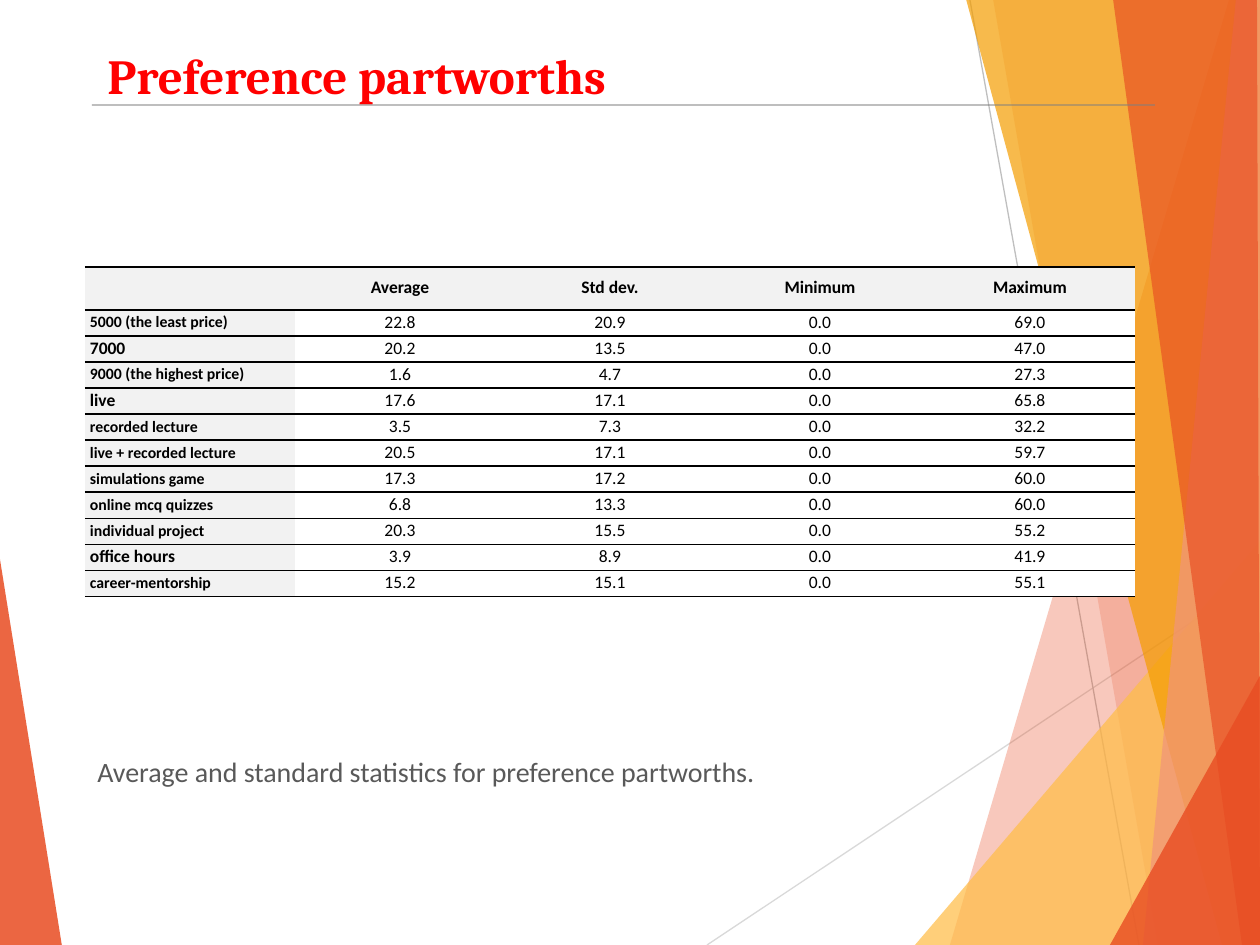
"""Build the preference partworths slide."""
from dataclasses import dataclass

from lxml.etree import SubElement
from pptx import Presentation
from pptx.dml.color import RGBColor as Rgb
from pptx.enum.shapes import MSO_CONNECTOR as Connector
from pptx.enum.text import MSO_ANCHOR as Anchor, PP_ALIGN as Align
from pptx.oxml.ns import qn
from pptx.util import Pt

EMU_PER_PX = 914400 / 126
NO_TABLE_STYLE = "{2D5ABB26-0587-4C30-8999-92F81FD0307C}"


@dataclass(frozen=True)
class Theme:
    """Colours, fonts and type sizes of the slide."""
    red: str = "E84C22"
    gold: str = "FFBD47"
    amber: str = "F49D00"
    salmon: str = "F1947A"
    title: str = "FF0000"
    caption: str = "595959"
    ink: str = "000000"
    header: str = "F2F2F2"
    paper: str = "FFFFFF"
    pale_line: str = "D9D9D9"
    line: str = "BFBFBF"
    rule: str = "7F7F7F"
    heading_font: str = "Cambria"
    body_font: str = "Calibri"
    title_size: int = 28
    caption_size: int = 16
    cell_size: int = 10
    label_size: int = 9


THEME = Theme()

FACETS = [
    (THEME.red, 30, [(1229, 0), (950, 945), (1262, 946), (1261, 0)]),
    (THEME.red, 20, [(993, -1), (1158, 945), (1261, 945), (1261, -1)]),
    (THEME.gold, 72, [(915, 945), (1260, 541), (1261, 945)]),
    (THEME.amber, 70, [(966, -1), (1222, 945), (1261, 945), (1261, -1)]),
    (THEME.salmon, 70, [(1236, -1), (1143, 945), (1261, 945), (1260, -1)]),
    (THEME.red, 65, [(1113, -1), (1242, 945), (1260, 945), (1257, -1)]),
    (THEME.red, 80, [(1110, 945), (1261, 674), (1261, 945)]),
]
LEFT_WEDGE = (THEME.red, 85, [(-1, 553), (62, 946), (-1, 945)])

HEADERS = ["", "Average", "Std dev.", "Minimum", "Maximum"]
PARTWORTHS = [
    ("5000 (the least price)", "22.8", "20.9", "0.0", "69.0"),
    ("7000", "20.2", "13.5", "0.0", "47.0"),
    ("9000 (the highest price)", "1.6", "4.7", "0.0", "27.3"),
    ("live", "17.6", "17.1", "0.0", "65.8"),
    ("recorded lecture", "3.5", "7.3", "0.0", "32.2"),
    ("live + recorded lecture", "20.5", "17.1", "0.0", "59.7"),
    ("simulations game", "17.3", "17.2", "0.0", "60.0"),
    ("online mcq quizzes", "6.8", "13.3", "0.0", "60.0"),
    ("individual project", "20.3", "15.5", "0.0", "55.2"),
    ("office hours", "3.9", "8.9", "0.0", "41.9"),
    ("career-mentorship", "15.2", "15.1", "0.0", "55.1"),
]
LARGE_LABELS = {"7000", "live", "office hours"}


def px(length):
    """Turn pixels into EMU."""
    return round(length * EMU_PER_PX)


def apply(target, values):
    """Set each named attribute on the target."""
    for name, value in values.items():
        setattr(target, name, value)


def set_alpha(fill, percent):
    """Make a solid fill partly transparent."""
    colour = fill._xPr.find(qn("a:solidFill"))[0]
    SubElement(colour, qn("a:alpha"), val=str(percent * 1000))


def add_facet(slide, colour, opacity, points):
    """Draw one translucent polygon of the backdrop."""
    builder = slide.shapes.build_freeform(*points[0], scale=EMU_PER_PX)
    builder.add_line_segments(points[1:], close=True)
    facet = builder.convert_to_shape()
    facet.shadow.inherit = False
    facet.fill.solid()
    facet.fill.fore_color.rgb = Rgb.from_string(colour)
    set_alpha(facet.fill, opacity)
    facet.line.fill.background()


def add_line(slide, start, end, colour, width, opacity=100):
    """Draw a straight line without a shadow."""
    line = slide.shapes.add_connector(
        Connector.STRAIGHT, *map(px, start + end))
    line.line.color.rgb = Rgb.from_string(colour)
    line.line.width = Pt(width)
    if opacity < 100:
        set_alpha(line.line.fill, opacity)
    SubElement(line._element.spPr, qn("a:effectLst"))


def write(paragraph, text, font, size, colour, bold=False):
    """Add one formatted run to a paragraph."""
    run = paragraph.add_run()
    run.text = text
    apply(run.font, {"name": font, "size": Pt(size), "bold": bold})
    run.font.color.rgb = Rgb.from_string(colour)


def add_text(slide, box, text, anchor, *style):
    """Add a wrapped single-paragraph text box."""
    frame = slide.shapes.add_textbox(*map(px, box)).text_frame
    apply(frame, {"word_wrap": True, "vertical_anchor": anchor})
    write(frame.paragraphs[0], text, *style)


def add_cell_rules(cell):
    """Rule a cell above and below, leaving its sides open."""
    properties = cell._tc.get_or_add_tcPr()
    for index, side in enumerate(("a:lnT", "a:lnB")):
        border = SubElement(properties, qn(side), w=str(Pt(1)))
        fill = SubElement(border, qn("a:solidFill"))
        SubElement(fill, qn("a:srgbClr"), val=THEME.ink)
        properties.insert(index, border)


def format_cell(cell, text, is_header, is_label):
    """Fill, rule and write one table cell."""
    apply(cell, {
        "margin_left": px(5 if is_label else 0), "margin_right": 0,
        "margin_top": px(2), "margin_bottom": px(3),
        "vertical_anchor": Anchor.MIDDLE,
    })
    cell.fill.solid()
    shaded = is_header or is_label
    cell.fill.fore_color.rgb = Rgb.from_string(
        THEME.header if shaded else THEME.paper)
    add_cell_rules(cell)
    if not text:
        return
    paragraph = cell.text_frame.paragraphs[0]
    paragraph.alignment = Align.LEFT if is_label else Align.CENTER
    small = is_label and text not in LARGE_LABELS
    size = THEME.label_size if small else THEME.cell_size
    write(paragraph, text, THEME.body_font, size, THEME.ink, shaded)


def add_partworth_table(slide):
    """Add the table of partworth statistics."""
    rows = [HEADERS, *PARTWORTHS]
    header_height, row_height = 43, 26
    height = header_height + row_height * len(PARTWORTHS)
    frame = slide.shapes.add_table(
        len(rows), len(HEADERS), *map(px, (85, 267, 1050, height)))
    table = frame.table
    apply(table, {"first_row": False, "horz_banding": False})
    table._tbl.tblPr.find(qn("a:tableStyleId")).text = NO_TABLE_STYLE
    for row_index, values in enumerate(rows):
        is_header = row_index == 0
        table.rows[row_index].height = px(
            header_height if is_header else row_height)
        for column, text in enumerate(values):
            format_cell(table.cell(row_index, column), text,
                        is_header, column == 0)


def main():
    """Build and save the slide."""
    deck = Presentation()
    apply(deck, {"slide_width": px(1260), "slide_height": px(945)})
    slide = deck.slides.add_slide(deck.slide_layouts[6])
    add_facet(slide, *LEFT_WEDGE)
    add_line(slide, (707, 945), (1261, 576), THEME.pale_line, 0.75)
    add_line(slide, (970, 0), (1139, 945), THEME.line, 0.75)
    for facet in FACETS:
        add_facet(slide, *facet)
    add_text(slide, (95, 0, 1050, 111), "Preference partworths", Anchor.BOTTOM,
             THEME.heading_font, THEME.title_size, THEME.title, True)
    add_line(slide, (92, 105), (1155, 105), THEME.rule, 1, 50)
    add_partworth_table(slide)
    add_text(slide, (85, 748, 1050, 131),
             "Average and standard statistics for preference partworths.",
             Anchor.TOP, THEME.body_font, THEME.caption_size, THEME.caption)
    deck.save("out.pptx")


if __name__ == "__main__":
    main()
